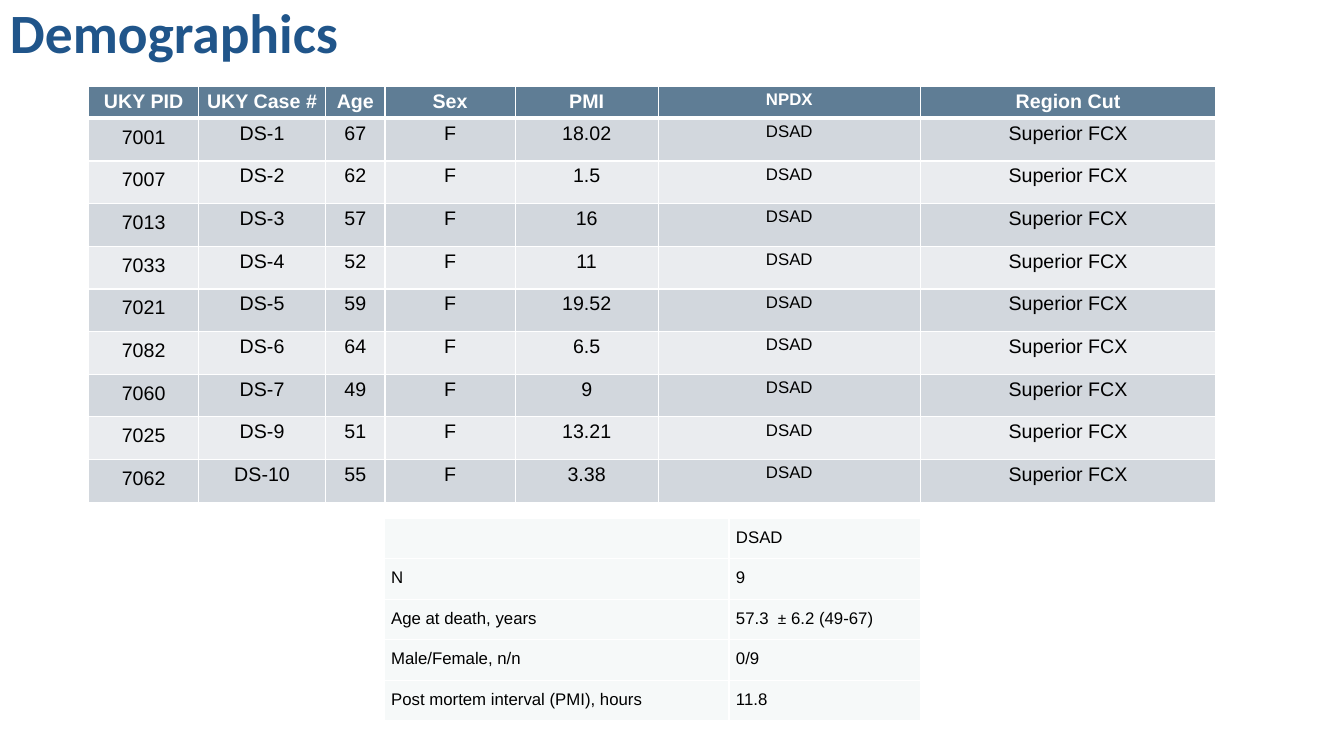
from lxml import etree
from pptx import Presentation
from pptx.dml.color import RGBColor
from pptx.enum import text
from pptx.oxml import ns
from pptx.util import Inches, Pt


def add_run(para, words, size, color, bold=False, face="Arial"):
    run = para.add_run()
    run.text = words
    font = run.font
    font.name, font.size, font.bold = face, Pt(size), bold
    font.color.rgb = RGBColor.from_string(color)


def style_cell(cell, fill, side, edge, top=1, base=1):
    cell.margin_left = cell.margin_right = Inches(side)
    cell.margin_top = cell.margin_bottom = Inches(edge)
    props = cell._tc.get_or_add_tcPr()
    for tag, width in (("lnL", 1), ("lnR", 1), ("lnT", top), ("lnB", base)):
        line = etree.SubElement(props, ns.qn("a:" + tag), w=str(Pt(width)))
        paint = etree.SubElement(line, ns.qn("a:solidFill"))
        etree.SubElement(paint, ns.qn("a:srgbClr"), val="FFFFFF")
    cell.fill.solid()
    cell.fill.fore_color.rgb = RGBColor.from_string(fill)


deck = Presentation()
deck.slide_width, deck.slide_height = Inches(13.33), Inches(7.5)
slide = deck.slides.add_slide(deck.slide_layouts[6])

# Title
title = slide.shapes.add_textbox(0, 0, Inches(10.61), Inches(0.71))
frame = title.text_frame
frame.word_wrap = True
frame.vertical_anchor = text.MSO_ANCHOR.MIDDLE
para = frame.paragraphs[0]
para.line_spacing = 0.9
add_run(para, "Demographics", 39.6, "20558A", True, "Calibri")

# Case table
heads = ["UKY PID", "UKY Case #", "Age", "Sex", "PMI", "NPDX", "Region Cut"]
cases = [
    ("7001", "DS-1", "67", "18.02"),
    ("7007", "DS-2", "62", "1.5"),
    ("7013", "DS-3", "57", "16"),
    ("7033", "DS-4", "52", "11"),
    ("7021", "DS-5", "59", "19.52"),
    ("7082", "DS-6", "64", "6.5"),
    ("7060", "DS-7", "49", "9"),
    ("7025", "DS-9", "51", "13.21"),
    ("7062", "DS-10", "55", "3.38"),
]
rows = [heads] + [
    [pid, case, age, "F", pmi, "DSAD", "Superior FCX"]
    for pid, case, age, pmi in cases
]
table = slide.shapes.add_table(
    len(rows), len(heads), Inches(0.88), Inches(0.86), Inches(11.18), Inches(4.11)
).table
for col, width in zip(table.columns, (1.09, 1.26, 0.59, 1.29, 1.42, 2.6, 2.93)):
    col.width = Inches(width)
for r, row in enumerate(rows):
    head = r == 0
    table.rows[r].height = Inches(0.3 if head else 3.81 / len(cases))
    fill = "5F7D95" if head else ("D2D7DD" if r % 2 else "EAECEF")
    for c, words in enumerate(row):
        cell = table.cell(r, c)
        edge = 0.08 if c == 0 and not head else 0.04
        style_cell(cell, fill, 0.08, edge, 3 if r == 1 else 1, 3 if head else 1)
        para = cell.text_frame.paragraphs[0]
        para.alignment = text.PP_ALIGN.CENTER
        size = 12 if heads[c] == "NPDX" else 14
        add_run(para, words, size, "FFFFFF" if head else "000000", head)

# Summary table: each value is a list of (words, size) runs
facts = [
    ("", [("DSAD", 12)]),
    ("N", [("9", 12)]),
    ("Age at death, years", [("57.3  ", 12), ("±", 11), (" 6.2 (49-67)", 12)]),
    ("Male/Female, n/n", [("0/9", 12)]),
    ("Post mortem interval (PMI), hours", [("11.8", 12)]),
]
table = slide.shapes.add_table(
    len(facts), 2, Inches(3.81), Inches(5.14), Inches(5.32), Inches(2.01)
).table
table.columns[0].width, table.columns[1].width = Inches(3.42), Inches(1.9)
for r, (label, value) in enumerate(facts):
    table.rows[r].height = Inches(2.01 / len(facts))
    for c, runs in enumerate(([(label, 12)], value)):
        cell = table.cell(r, c)
        filled = runs[0][0] != ""
        style_cell(cell, "F6F9F9", 0.07, 0.07 if filled else 0.04)
        if filled:
            para = cell.text_frame.paragraphs[0]
            para.line_spacing = 1.15
            for words, size in runs:
                add_run(para, words, size, "000000")

deck.save("out.pptx")
